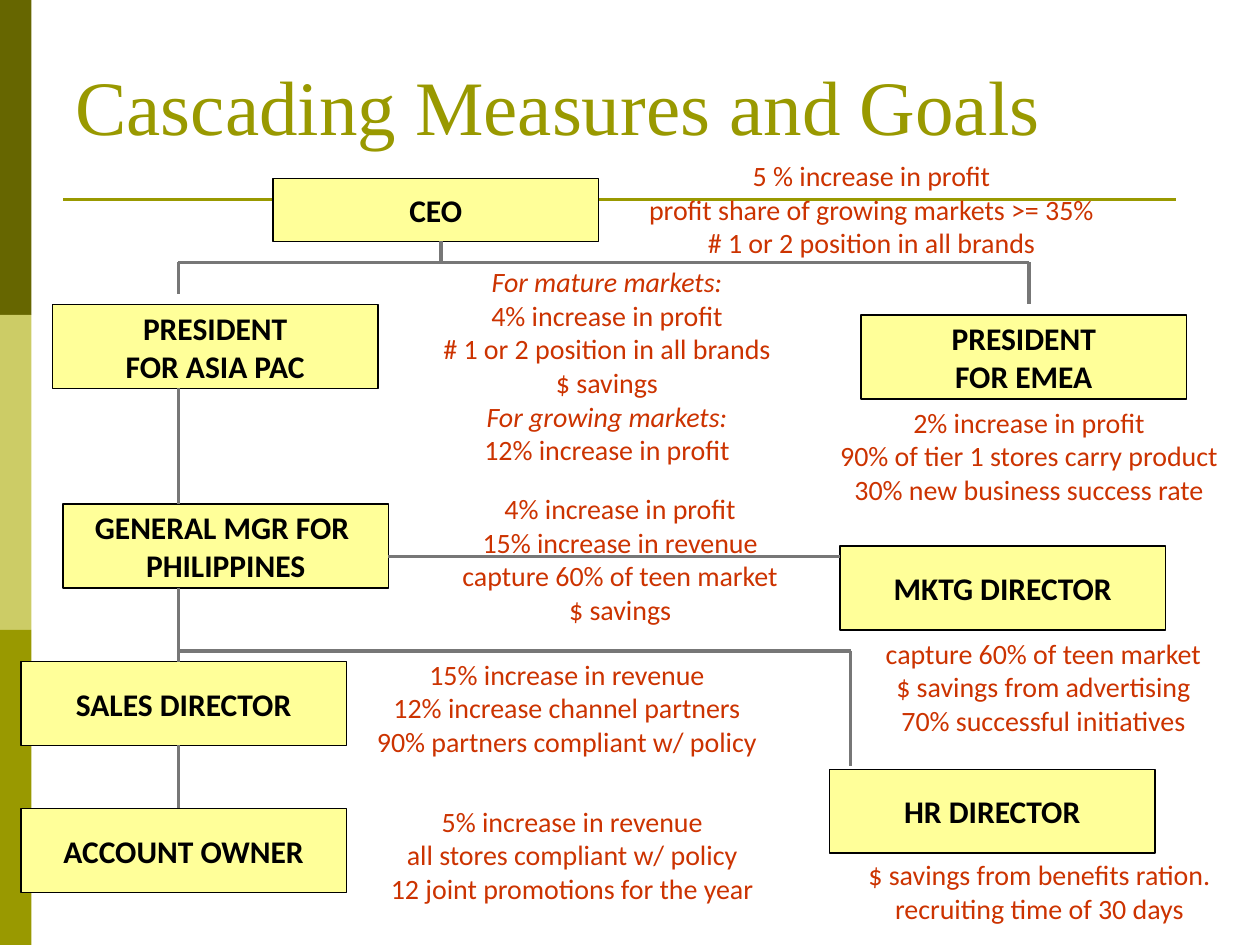
"""Build the Cascading Measures and Goals organisation chart slide."""

from dataclasses import dataclass
from typing import NamedTuple

from lxml.etree import SubElement
from pptx import Presentation
from pptx.dml.color import RGBColor
from pptx.enum.shapes import MSO_CONNECTOR, MSO_SHAPE
from pptx.enum.text import MSO_ANCHOR, MSO_AUTO_SIZE, PP_ALIGN
from pptx.oxml.ns import qn
from pptx.slide import Slide
from pptx.text.text import TextFrame
from pptx.util import Emu, Pt

EMU_PER_PX = 9525
ROLE_WIDTH = 248
ROLE_HEIGHT = 64
STRIPE_WIDTH, STRIPE_HEIGHT = 24, 240
TRUNK = 136
TOP_BRANCH = 200
LOWER_BRANCH = 496
EMEA_DROP = 784
HR_DROP = 648


@dataclass(frozen=True)
class Theme:
    stripes: tuple[str, ...] = ("666600", "CCCC66", "999900")
    accent: str = "999900"
    role_fill: str = "FFFF99"
    role_ink: str = "000000"
    goal_ink: str = "CC3300"
    link: str = "777777"
    title_font: str = "Times New Roman"
    body_font: str = "Calibri"
    title_size: int = 44
    role_size: int = 18
    goal_size: int = 16
    role_border: float = 0.75
    rule_width: float = 1.5
    link_width: float = 2.25


class Role(NamedTuple):
    left: int
    top: int
    lines: tuple[str, ...]
    height: int = ROLE_HEIGHT


class Goals(NamedTuple):
    left: int
    top: int
    width: int
    height: int
    lines: tuple[str, ...]


class Link(NamedTuple):
    x1: int
    y1: int
    x2: int
    y2: int


THEME = Theme()

ROLES = (
    Role(208, 136, ("CEO",), 48),
    Role(40, 232, ("PRESIDENT", "FOR ASIA PAC")),
    Role(656, 240, ("PRESIDENT", "FOR EMEA")),
    Role(48, 384, ("GENERAL MGR FOR ", "PHILIPPINES")),
    Role(16, 504, ("SALES DIRECTOR",)),
    Role(640, 416, ("MKTG DIRECTOR",)),
    Role(16, 616, ("ACCOUNT OWNER",)),
    Role(632, 586, ("HR DIRECTOR",)),
)

GOALS = (
    Goals(464, 116, 400, 86, (
        "5 % increase in profit",
        "profit share of growing markets >= 35%",
        "# 1 or 2 position in all brands",
    )),
    Goals(286, 197, 353, 163, (
        "For mature markets:",
        "4% increase in profit",
        "# 1 or 2 position in all brands",
        "$ savings",
        "For growing markets:",
        "12% increase in profit",
    )),
    Goals(296, 370, 353, 112, (
        "4% increase in profit",
        "15% increase in revenue",
        "capture 60% of teen market",
        "$ savings",
    )),
    Goals(646, 480, 298, 86, (
        "capture 60% of teen market",
        "$ savings from advertising",
        "70% successful initiatives",
    )),
    Goals(264, 496, 336, 86, (
        "15% increase in revenue",
        "12% increase channel partners",
        "90% partners compliant w/ policy",
    )),
    Goals(272, 608, 328, 86, (
        "5% increase in revenue",
        "all stores compliant w/ policy",
        "12 joint promotions for the year",
    )),
    Goals(624, 649, 336, 61, (
        "$ savings from benefits ration.",
        "recruiting time of 30 days",
    )),
    Goals(608, 304, 352, 86, (
        "2% increase in profit",
        "90% of tier 1 stores carry product",
        "30% new business success rate",
    )),
)

LINKS = (
    Link(336, 184, 336, TOP_BRANCH),
    Link(TRUNK, TOP_BRANCH, EMEA_DROP, TOP_BRANCH),
    Link(TRUNK, TOP_BRANCH, TRUNK, 224),
    Link(EMEA_DROP, TOP_BRANCH, EMEA_DROP, 232),
    Link(TRUNK, 296, TRUNK, 384),
    Link(296, 424, 640, 424),
    Link(TRUNK, 448, TRUNK, 504),
    Link(TRUNK, LOWER_BRANCH, HR_DROP, LOWER_BRANCH),
    Link(TRUNK, 568, TRUNK, 616),
    Link(HR_DROP, LOWER_BRANCH, HR_DROP, 584),
)


def px(*lengths: int) -> tuple[Emu, ...]:
    return tuple(Emu(length * EMU_PER_PX) for length in lengths)


def rgb(value: str) -> RGBColor:
    return RGBColor.from_string(value)


def write_lines(frame: TextFrame, lines: tuple[str, ...], font: str, size: int,
                ink: str, align: PP_ALIGN = PP_ALIGN.CENTER, bold: bool = False) -> None:
    for index, line in enumerate(lines):
        paragraph = frame.add_paragraph() if index else frame.paragraphs[0]
        paragraph.alignment = align
        run = paragraph.add_run()
        run.text = line
        run.font.name = font
        run.font.size = Pt(size)
        run.font.color.rgb = rgb(ink)
        run.font.bold = bold
        run.font.italic = line.endswith(":")


def draw_title(slide: Slide, text: str) -> None:
    title = slide.shapes.title
    title.left, title.top, title.width, title.height = px(48, 24, 864, 96)
    frame = title.text_frame
    frame.auto_size = MSO_AUTO_SIZE.NONE
    frame.vertical_anchor = MSO_ANCHOR.BOTTOM
    write_lines(frame, (text,), THEME.title_font, THEME.title_size,
                THEME.accent, PP_ALIGN.LEFT)


def draw_stripes(slide: Slide) -> None:
    for index, color in enumerate(THEME.stripes):
        stripe = slide.shapes.add_shape(
            MSO_SHAPE.RECTANGLE,
            *px(0, index * STRIPE_HEIGHT, STRIPE_WIDTH, STRIPE_HEIGHT))
        stripe.shadow.inherit = False
        stripe.fill.solid()
        stripe.fill.fore_color.rgb = rgb(color)
        stripe.line.fill.background()


def draw_link(slide: Slide, link: Link, color: str, width: float) -> None:
    connector = slide.shapes.add_connector(MSO_CONNECTOR.STRAIGHT, *px(*link))
    connector.line.color.rgb = rgb(color)
    connector.line.width = Pt(width)
    SubElement(connector._element.spPr, qn("a:effectLst"))


def draw_role(slide: Slide, role: Role) -> None:
    box = slide.shapes.add_shape(
        MSO_SHAPE.RECTANGLE, *px(role.left, role.top, ROLE_WIDTH, role.height))
    box.shadow.inherit = False
    box.fill.solid()
    box.fill.fore_color.rgb = rgb(THEME.role_fill)
    box.line.color.rgb = rgb(THEME.role_ink)
    box.line.width = Pt(THEME.role_border)
    frame = box.text_frame
    frame.word_wrap = False
    frame.vertical_anchor = MSO_ANCHOR.MIDDLE
    write_lines(frame, role.lines, THEME.body_font, THEME.role_size,
                THEME.role_ink, bold=True)


def draw_goals(slide: Slide, goals: Goals) -> None:
    frame = slide.shapes.add_textbox(*px(*goals[:4])).text_frame
    frame.word_wrap = True
    frame.auto_size = MSO_AUTO_SIZE.SHAPE_TO_FIT_TEXT
    write_lines(frame, goals.lines, THEME.body_font, THEME.goal_size, THEME.goal_ink)


def main() -> None:
    deck = Presentation()
    deck.slide_width, deck.slide_height = px(960, 720)
    slide = deck.slides.add_slide(deck.slide_layouts[5])
    draw_stripes(slide)
    draw_link(slide, Link(48, 152, 896, 152), THEME.accent, THEME.rule_width)
    draw_title(slide, "Cascading Measures and Goals")
    for role in ROLES:
        draw_role(slide, role)
    for goals in GOALS:
        draw_goals(slide, goals)
    for link in LINKS:
        draw_link(slide, link, THEME.link, THEME.link_width)
    deck.save("out.pptx")


if __name__ == "__main__":
    main()
